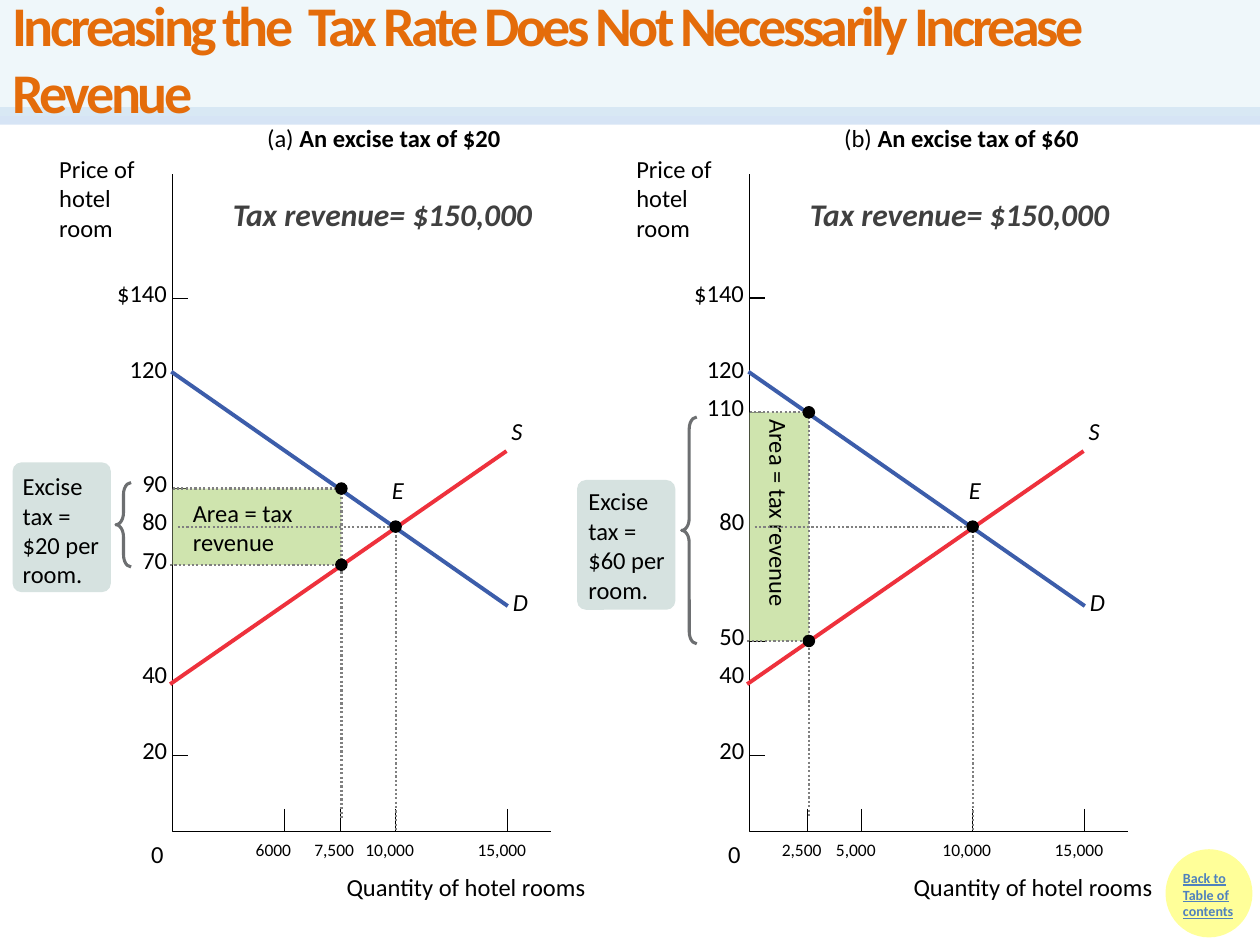
import dataclasses
import typing

import lxml.etree
import pptx
import pptx.dml.color
import pptx.enum.dml
import pptx.enum.shapes
import pptx.enum.text
import pptx.oxml.ns
import pptx.util

Inches = pptx.util.Inches
SHAPES = pptx.enum.shapes.MSO_SHAPE
COLORS = {
    "black": "000000", "title": "E46C0A", "banner": "DBEEF4", "rule": "C6D9F1",
    "button": "FFFF99", "link": "4F81BD", "revenue": "404040", "guide": "808080",
    "demand": "3C5DAA", "supply": "EE313C", "area": "CFE4AE", "note": "D6E2E0",
    "brace": "6D6F71",
}
AXIS_BOTTOM, AXIS_TOP, AXIS_WIDTH = 6.6, 1.38, 3
INCHES_PER_DOLLAR = 0.03025
EQUILIBRIUM = 1.77


class Box(typing.NamedTuple):
    left: float
    top: float
    width: float
    height: float


class Tick(typing.NamedTuple):
    label: str
    offset: float
    shift: float = -0.02


@dataclasses.dataclass
class Panel:
    letter: str
    tax: int
    axis: float
    traded: float
    high: int
    low: int
    quantities: list[Tick]
    note: Box
    note_text: Box
    brace: Box
    area_text: Box
    area_rotation: int
    thin: float


PANELS = [
    Panel("a", 20, 1.37, 1.34, 90, 70,
          [Tick("6000", 0.89, -0.08), Tick("7,500", 1.33), Tick("10,000", 1.77), Tick("15,000", 2.66)],
          Box(0.1, 3.67, 0.78, 1.03), Box(0.18, 3.74, 0.66, 0.94), Box(0.92, 3.83, 0.12, 0.67),
          Box(1.53, 3.95, 1.08, 0.47), 0, 0.5),
    Panel("b", 60, 5.95, 0.47, 110, 50,
          [Tick("2,500", 0.46), Tick("5,000", 0.89), Tick("10,000", 1.77), Tick("15,000", 2.66)],
          Box(4.58, 3.81, 0.78, 1.03), Box(4.67, 3.86, 0.66, 0.94), Box(5.41, 3.31, 0.12, 1.8),
          Box(5.31, 4.08, 1.74, 0.24), 90, 0.63),
]


def rgb(name: str) -> pptx.dml.color.RGBColor:
    """Look up a named colour."""
    return pptx.dml.color.RGBColor.from_string(COLORS[name])


def set_alpha(element, percent: int) -> None:
    """Make the first solid colour inside an element translucent."""
    color = next(element.iter(pptx.oxml.ns.qn("a:srgbClr")))
    lxml.etree.SubElement(color, pptx.oxml.ns.qn("a:alpha"), val=str(percent * 1000))


def price_y(price: float) -> float:
    """Turn a price into a vertical position."""
    return AXIS_BOTTOM - price * INCHES_PER_DOLLAR


def draw_line(slide, x1: float, y1: float, x2: float, y2: float, color: str = "black",
              width: float = 0.5, dotted: bool = False):
    """Draw a straight line."""
    line = slide.shapes.add_connector(
        pptx.enum.shapes.MSO_CONNECTOR.STRAIGHT, Inches(x1), Inches(y1), Inches(x2), Inches(y2))
    line.line.color.rgb = rgb(color)
    line.line.width = pptx.util.Pt(width)
    if dotted:
        line.line.dash_style = pptx.enum.dml.MSO_LINE.ROUND_DOT
    properties = line._element.spPr
    lxml.etree.SubElement(properties, pptx.oxml.ns.qn("a:effectLst"))
    return line


def draw_shape(slide, kind, box: Box, color: str):
    """Draw a filled preset shape without an outline."""
    shape = slide.shapes.add_shape(kind, *map(Inches, box))
    shape.shadow.inherit = False
    shape.fill.solid()
    shape.fill.fore_color.rgb = rgb(color)
    shape.line.fill.background()
    return shape


def write(slide, text: str, box: Box, *, size: float = 14, color: str = "black", bold: bool = False,
          italic: bool = False, underline: bool = False, wrap: bool = False, padded: bool = False,
          middle: bool = False, spacing: int = 0, lead: str = "", rotation: int = 0) -> None:
    """Write text, optionally after a plain lead."""
    label = slide.shapes.add_textbox(*map(Inches, box))
    label.rotation = rotation
    frame = label.text_frame
    frame.word_wrap = wrap
    if middle:
        frame.vertical_anchor = pptx.enum.text.MSO_ANCHOR.MIDDLE
    if not padded:
        frame.margin_left = frame.margin_right = frame.margin_top = frame.margin_bottom = 0
    for words, heavy in ((lead, False), (text, bold)):
        if not words:
            continue
        run = frame.paragraphs[0].add_run()
        run.text = words
        font = run.font
        font.name, font.size, font.color.rgb = "Calibri", pptx.util.Pt(size), rgb(color)
        font.bold, font.italic, font.underline = heavy, italic, underline
        if spacing:
            run._r.get_or_add_rPr().set("spc", str(spacing))


def draw_frame(slide) -> None:
    """Draw the title banner and the contents button."""
    rule = draw_line(slide, 0, 0.92, 10, 0.92, "rule", 10)
    set_alpha(rule._element.spPr, 71)
    draw_shape(slide, SHAPES.OVAL, Box(9.25, 6.74, 0.69, 0.7), "button")
    write(slide, "Back to Table of contents", Box(9.29, 6.85, 0.72, 0.67), size=8, color="link",
          bold=True, underline=True, wrap=True, padded=True)
    heading = Box(0, 0, 10, 0.92)
    banner = draw_shape(slide, SHAPES.RECTANGLE, heading, "banner")
    set_alpha(banner._element.spPr, 44)
    write(slide, "Increasing the  Tax Rate Does Not Necessarily Increase Revenue", heading, size=32,
          color="title", bold=True, wrap=True, padded=True, middle=True, spacing=-200)


def draw_axes(slide, panel: Panel) -> None:
    """Draw the axes with their ticks and labels."""
    x = panel.axis
    left, bottom = Inches(x), Inches(AXIS_BOTTOM)
    axes = slide.shapes.build_freeform(Inches(x + AXIS_WIDTH), bottom)
    axes.add_line_segments([(left, bottom), (left, Inches(AXIS_TOP))], close=False)
    outline = axes.convert_to_shape()
    outline.shadow.inherit = False
    outline.fill.background()
    outline.line.color.rgb = rgb("black")
    outline.line.width = pptx.util.Pt(panel.thin)
    for price in (140, panel.high, 80, panel.low, 20):
        draw_line(slide, x, price_y(price), x + 0.12, price_y(price), width=panel.thin)
    for price in (140, 120, panel.high, 80, panel.low, 40, 20):
        label = f"${price}" if price == 140 else str(price)
        width = 0.1 * len(label)
        write(slide, label, Box(x - 0.04 - width, price_y(price) - 0.16, width, 0.24))
    for tick in panel.quantities:
        mark = x + tick.offset
        draw_line(slide, mark, 6.42, mark, AXIS_BOTTOM, width=panel.thin)
        width = 0.07 * len(tick.label) + 0.02
        write(slide, tick.label, Box(mark + tick.shift - width / 2, 6.66, width, 0.17), size=10)
    write(slide, "0", Box(x - 0.17, 6.66, 0.1, 0.24))
    write(slide, "Price of hotel room", Box(x - 0.9, 1.22, 0.85, 0.71), wrap=True)
    write(slide, "Quantity of hotel rooms", Box(2.75 if panel.letter == "a" else 7.25, 6.92, 1.95, 0.24))


def draw_market(slide, panel: Panel) -> None:
    """Draw the curves, the tax area and its notes."""
    x, traded, middle = panel.axis, panel.axis + panel.traded, panel.axis + EQUILIBRIUM
    high, low, even = price_y(panel.high), price_y(panel.low), price_y(80)
    draw_line(slide, x - 0.01, 2.95, x + 2.66, 4.81, "demand", 2.25)
    draw_line(slide, x + 2.65, 3.58, x - 0.02, 5.43, "supply", 2.25)
    draw_shape(slide, SHAPES.RECTANGLE, Box(x, high, panel.traded, low - high), "area")
    write(slide, "Area = tax revenue", panel.area_text, wrap=True, rotation=panel.area_rotation)
    for guide in ((x, high, traded, high), (x - 0.02, low, traded, low), (x + 0.04, even, middle, even),
                  (traded, high, traded, 6.49), (middle, even, middle, AXIS_BOTTOM)):
        draw_line(slide, *guide, "guide", 1.25, dotted=True)
    for dot_x, dot_y in ((traded, high), (traded, low), (middle, even)):
        draw_shape(slide, SHAPES.OVAL, Box(dot_x - 0.05, dot_y - 0.05, 0.1, 0.1), "black")
    for curve, offset, top in (("S", 2.69, 3.3), ("D", 2.7, 4.66), ("E", 1.74, 3.77)):
        write(slide, curve, Box(x + offset, top, 0.14, 0.24), italic=True)
    note = draw_shape(slide, SHAPES.ROUNDED_RECTANGLE, panel.note, "note")
    note.adjustments[0] = 0.09
    write(slide, f"Excise tax = ${panel.tax} per room.", panel.note_text, wrap=True)
    brace = draw_shape(slide, SHAPES.LEFT_BRACE, panel.brace, "note")
    brace.adjustments[0] = 0.8
    brace.fill.background()
    brace.line.color.rgb = rgb("brace")
    brace.line.width = pptx.util.Pt(1.75)
    write(slide, f"An excise tax of ${panel.tax}", Box(x + 0.75, 0.98, 1.97, 0.24), bold=True,
          lead=f"({panel.letter}) ")
    write(slide, "Tax revenue= $150,000", Box(x + 0.38, 1.5, 2.75, 0.4), size=18, color="revenue",
          bold=True, italic=True, wrap=True, padded=True)


def main() -> None:
    """Build the slide and save it."""
    deck = pptx.Presentation()
    deck.slide_width, deck.slide_height = Inches(10), Inches(7.5)
    slide = deck.slides.add_slide(deck.slide_layouts[6])
    draw_frame(slide)
    for panel in PANELS:
        draw_axes(slide, panel)
        draw_market(slide, panel)
    deck.save("out.pptx")


if __name__ == "__main__":
    main()
